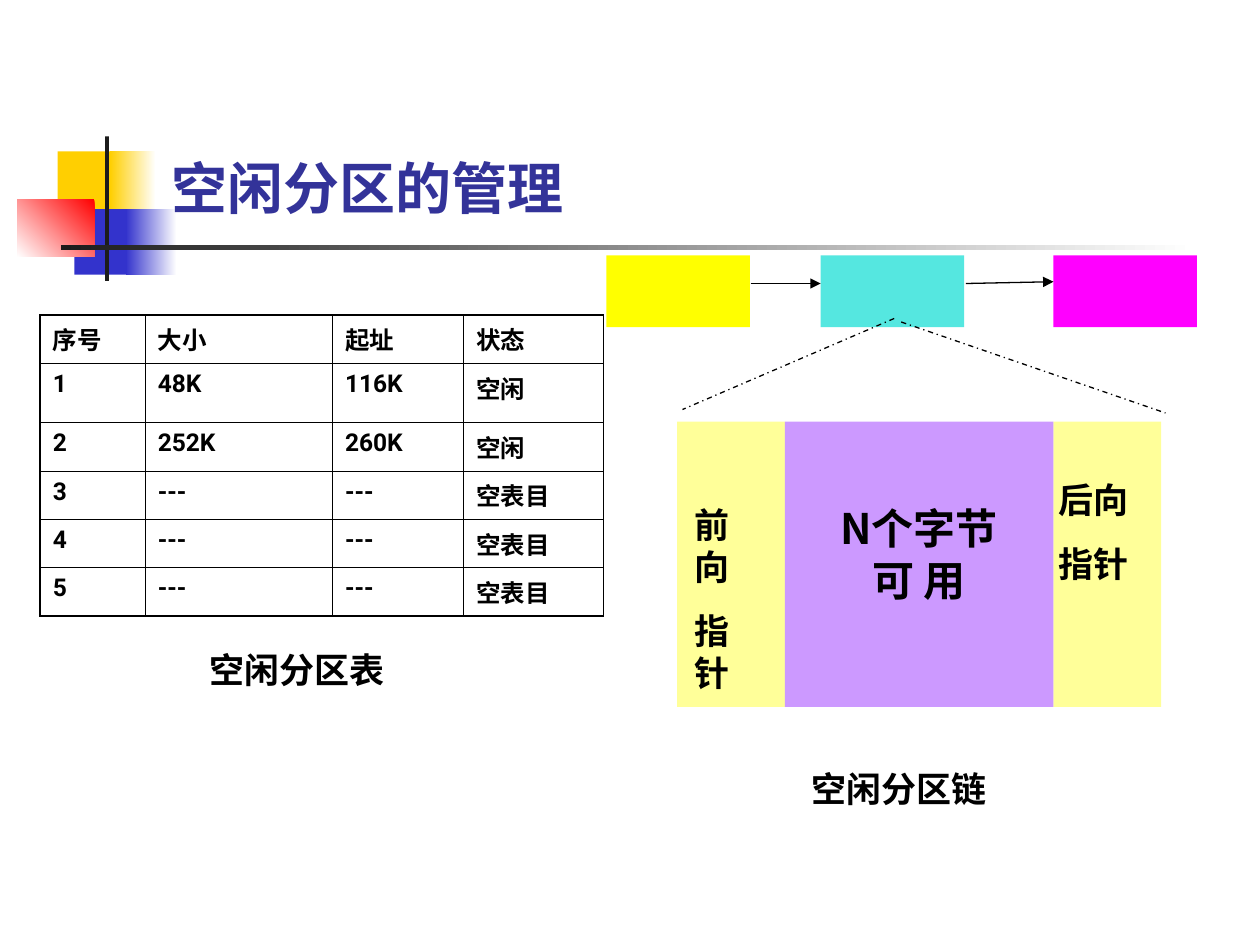
from dataclasses import dataclass
from lxml.etree import SubElement as Sub
from pptx import Presentation
from pptx.dml.color import RGBColor as RGB
from pptx.enum.dml import MSO_LINE as Dash
from pptx.enum.shapes import MSO_CONNECTOR as Conn, MSO_SHAPE as Shape
from pptx.enum.text import MSO_ANCHOR as Anchor, MSO_AUTO_SIZE as Fit, PP_ALIGN as Align
from pptx.oxml.ns import qn
from pptx.util import Pt


@dataclass(frozen=True)
class Theme:
    ink: str = "000000"
    title: str = "333399"
    white: str = "FFFFFF"
    gold: str = "FFCF01"
    blue: str = "3333CC"
    red: str = "FF0000"
    dark: str = "1C1C1C"
    yellow: str = "FFFF00"
    cyan: str = "55E7E0"
    pink: str = "FF00FF"
    cream: str = "FFFF99"
    violet: str = "CC99FF"
    body: str = "Roboto"
    label: str = "Comic Neue"
    hans: str = "Noto Sans CJK SC"
    head: int = 32
    large: int = 24
    mid: int = 20
    small: int = 14


T = Theme()
deck = Presentation()
deck.slide_width, deck.slide_height = Pt(720), Pt(540)
slide = deck.slides.add_slide(deck.slide_layouts[5])
shapes = slide.shapes


def style(par, size, face=T.body, color=T.ink):
    font = par.font
    font.name, font.size, font.bold = face, Pt(size), True
    font.color.rgb = RGB.from_string(color)
    Sub(par._p.pPr.find(qn("a:defRPr")), qn("a:ea"), typeface=T.hans)


def block(x, y, w, h, color, end=None, angle=180):
    box = shapes.add_shape(Shape.RECTANGLE, Pt(x), Pt(y), Pt(w), Pt(h))
    box.shadow.inherit = False
    box.line.fill.background()
    if end:
        box.fill.gradient()
        box.fill.gradient_angle = angle
        for stop, tint in zip(box.fill.gradient_stops, (color, end)):
            stop.color.rgb = RGB.from_string(tint)
    else:
        box.fill.solid()
        box.fill.fore_color.rgb = RGB.from_string(color)
    return box


# Corner squares and rules
block(33, 86.5, 34.5, 37.5, T.gold)
block(63, 86.5, 26, 37.5, T.white, T.gold)
block(42.5, 119.5, 33, 37.5, T.blue)
block(72, 119.5, 29, 37.5, T.white, T.blue)
block(10, 113.8, 44, 33, T.red, T.white, 225)
block(60, 78, 2.3, 82.6, T.dark)
block(34.7, 140.2, 648, 2.5, T.white, T.dark)

# Title, in front of the squares
title = shapes.title
title.left, title.top, title.width, title.height = Pt(90.7), Pt(14.5), Pt(613.5), Pt(115.2)
frame = title.text_frame
frame.text = "空闲分区的管理"
frame.auto_size, frame.vertical_anchor = Fit.NONE, Anchor.BOTTOM
frame.paragraphs[0].alignment = Align.LEFT
style(frame.paragraphs[0], T.head, color=T.title)
shapes._spTree.append(title._element)

# Table of free partitions
rows = [
    ("序号", "大小", "起址", "状态"),
    ("1", "48K", "116K", "空闲"),
    ("2", "252K", "260K", "空闲"),
    *[(str(num), "---", "---", "空表目") for num in (3, 4, 5)],
]
wide = (60, 107, 75, 80)
high = (27.4, 33.7, 27.8, 27.6, 27.6, 27.6)
grid = shapes.add_table(len(rows), len(wide), Pt(23), Pt(180), Pt(sum(wide)), Pt(sum(high))).table
for col, w in zip(grid.columns, wide):
    col.width = Pt(w)
for row, h in zip(grid.rows, high):
    row.height = Pt(h)
for i, row in enumerate(rows):
    for j, text in enumerate(row):
        cell = grid.cell(i, j)
        cell.text = text
        style(cell.text_frame.paragraphs[0], T.small)
        # Thick outer edge, thin inner lines
        outer = {"lnL": j == 0, "lnR": j == len(wide) - 1, "lnT": i == 0, "lnB": i == len(rows) - 1}
        for side, edge in outer.items():
            line = Sub(cell._tc.get_or_add_tcPr(), qn("a:" + side), w=str(Pt(1.08 if edge else 0.45)))
            Sub(Sub(line, qn("a:solidFill")), qn("a:srgbClr"), val=T.ink)
        cell.fill.background()

# Chain of free blocks
for x, color in ((346.5, T.yellow), (469, T.cyan), (602, T.pink)):
    block(x, 146, 82, 41, color)

# Inside of one block
for x in (387, 602):
    block(x, 241, 61.5, 163, T.cream)
core = block(448.5, 241, 153.5, 163, T.violet)
frame = core.text_frame
frame.text = "N个字节\n可 用"
frame.vertical_anchor, frame.margin_bottom = Anchor.MIDDLE, Pt(17)
for par in frame.paragraphs:
    par.alignment, par.line_spacing = Align.CENTER, Pt(30)
    style(par, T.large, T.hans)

# Arrows between blocks, dashed lines to the detail
for x1, y1, x2, y2, arrow in (
    (429, 162, 469, 162, True),
    (552, 162, 602, 161, True),
    (511, 182, 390, 234, False),
    (515, 184, 666, 236, False),
):
    link = shapes.add_connector(Conn.STRAIGHT, Pt(x1), Pt(y1), Pt(x2), Pt(y2))
    link.line.width = Pt(0.75)
    link.line.color.rgb = RGB.from_string(T.ink)
    if arrow:
        Sub(link.line._get_or_add_ln(), qn("a:tailEnd"), type="triangle")
    else:
        link.line.dash_style = Dash.DASH_DOT
    Sub(link._element.spPr, qn("a:effectLst"))

# Pointer labels and captions
for x, y, w, h, text, face, anchor in (
    (390, 284, 54, 67.7, "前向\n指针", T.body, Anchor.TOP),
    (598, 270, 55, 67.7, "后向\n指针", T.body, Anchor.TOP),
    (112.5, 366, 179, 32, "空闲分区表", T.label, Anchor.BOTTOM),
    (456.5, 434, 148, 32, "空闲分区链", T.label, Anchor.BOTTOM),
):
    frame = shapes.add_textbox(Pt(x), Pt(y), Pt(w), Pt(h)).text_frame
    frame.text = text
    frame.word_wrap, frame.vertical_anchor = True, anchor
    for k, par in enumerate(frame.paragraphs):
        par.line_spacing = Pt(24)
        par.space_before = Pt(12.5 if k else 0)
        style(par, T.mid, face)

deck.save("out.pptx")
